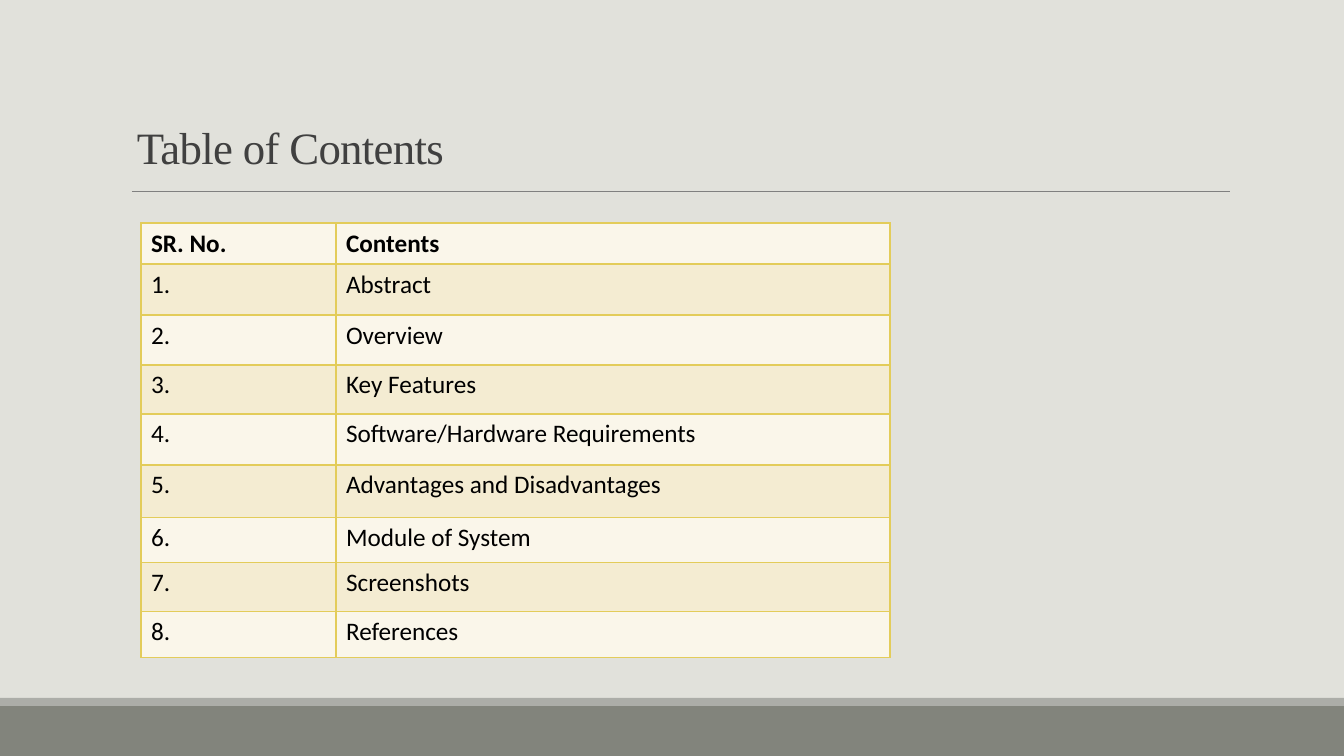
import pptx
import pptx.dml.color
import pptx.enum.shapes
import pptx.enum.text
import pptx.oxml
import pptx.oxml.ns
import pptx.util

RGBColor = pptx.dml.color.RGBColor

BACKGROUND = RGBColor(0xE1, 0xE1, 0xDB)
FOOTER = RGBColor(0x82, 0x84, 0x7C)
FOOTER_EDGE = RGBColor(0xAC, 0xAD, 0xA8)
RULE = RGBColor(0x80, 0x80, 0x80)
TITLE = RGBColor(0x40, 0x40, 0x40)
BODY = RGBColor(0x00, 0x00, 0x00)
GRID = RGBColor(0xE3, 0xCC, 0x5A)
LIGHT_ROW = RGBColor(0xFA, 0xF6, 0xEA)
DARK_ROW = RGBColor(0xF4, 0xEC, 0xD2)

TOPICS = [
    "Abstract",
    "Overview",
    "Key Features",
    "Software/Hardware Requirements",
    "Advantages and Disadvantages",
    "Module of System",
    "Screenshots",
    "References",
]
COLUMN_WIDTHS = [195, 554]
ROW_HEIGHTS = [41, 51, 50, 49, 51, 53, 45, 49, 46]


def px(length):
    return pptx.util.Emu(round(length * 914400 / 100.8))


class ContentsSlide:
    title_font = "Times New Roman"
    body_font = "Calibri"

    def __init__(self, deck):
        self.slide = deck.slides.add_slide(deck.slide_layouts[6])
        fill = self.slide.background.fill
        fill.solid()
        fill.fore_color.rgb = BACKGROUND

    def band(self, left, top, width, height, color):
        band = self.slide.shapes.add_shape(
            pptx.enum.shapes.MSO_SHAPE.RECTANGLE, px(left), px(top), px(width), px(height)
        )
        band.shadow.inherit = False
        band.fill.solid()
        band.fill.fore_color.rgb = color
        band.line.fill.background()

    def rule(self, left, right, y):
        rule = self.slide.shapes.add_connector(
            pptx.enum.shapes.MSO_CONNECTOR.STRAIGHT, px(left), px(y), px(right), px(y)
        )
        rule.line.color.rgb = RULE
        rule.line.width = pptx.util.Pt(0.5)
        pptx.oxml.ns.qn("a:effectLst")
        rule.element.spPr.append(
            rule.element.spPr.makeelement(pptx.oxml.ns.qn("a:effectLst"), {})
        )

    def title(self, left, top, width, height, text):
        frame = self.slide.shapes.add_textbox(px(left), px(top), px(width), px(height)).text_frame
        frame.word_wrap = True
        frame.vertical_anchor = pptx.enum.text.MSO_ANCHOR.BOTTOM
        heading = frame.paragraphs[0]
        heading.text = text
        heading.line_spacing = 0.85
        self.style(heading, self.title_font, 32, TITLE)
        heading.runs[0].font._element.set("spc", "-50")

    def style(self, paragraph, name, size, color, bold=False):
        font = paragraph.font
        font.name = name
        font.size = pptx.util.Pt(size)
        font.color.rgb = color
        font.bold = bold

    def border(self, cell):
        properties = cell._tc.get_or_add_tcPr()
        for side in ("lnL", "lnR", "lnT", "lnB"):
            properties.append(pptx.oxml.parse_xml(
                f'<a:{side} {pptx.oxml.ns.nsdecls("a")} w="{pptx.util.Pt(1)}">'
                f'<a:solidFill><a:srgbClr val="{GRID}"/></a:solidFill></a:{side}>'
            ))

    def table(self, left, top, widths, heights, rows):
        table = self.slide.shapes.add_table(
            len(rows), len(widths), px(left), px(top), px(sum(widths)), px(sum(heights))
        ).table
        table.first_row = False
        table.horz_banding = False
        for column, width in zip(table.columns, widths):
            column.width = px(width)
        for index, (row, height, texts) in enumerate(zip(table.rows, heights, rows)):
            row.height = px(height)
            for cell, text in zip(row.cells, texts):
                self.border(cell)
                cell.fill.solid()
                cell.fill.fore_color.rgb = DARK_ROW if index % 2 else LIGHT_ROW
                cell.text = text
                self.style(cell.text_frame.paragraphs[0], self.body_font, 18, BODY, index == 0)


def main():
    deck = pptx.Presentation()
    deck.slide_width = px(1344)
    deck.slide_height = px(756)
    contents = ContentsSlide(deck)
    contents.band(0, 706, 1344, 50, FOOTER)
    contents.band(0, 698, 1344, 8, FOOTER_EDGE)
    contents.rule(132, 1230, 191)
    contents.title(127, 59, 1159, 120, "Table of Contents")
    entries = [(f"{number}.", topic) for number, topic in enumerate(TOPICS, 1)]
    contents.table(141, 223, COLUMN_WIDTHS, ROW_HEIGHTS, [("SR. No.", "Contents"), *entries])
    deck.save("out.pptx")


if __name__ == "__main__":
    main()
